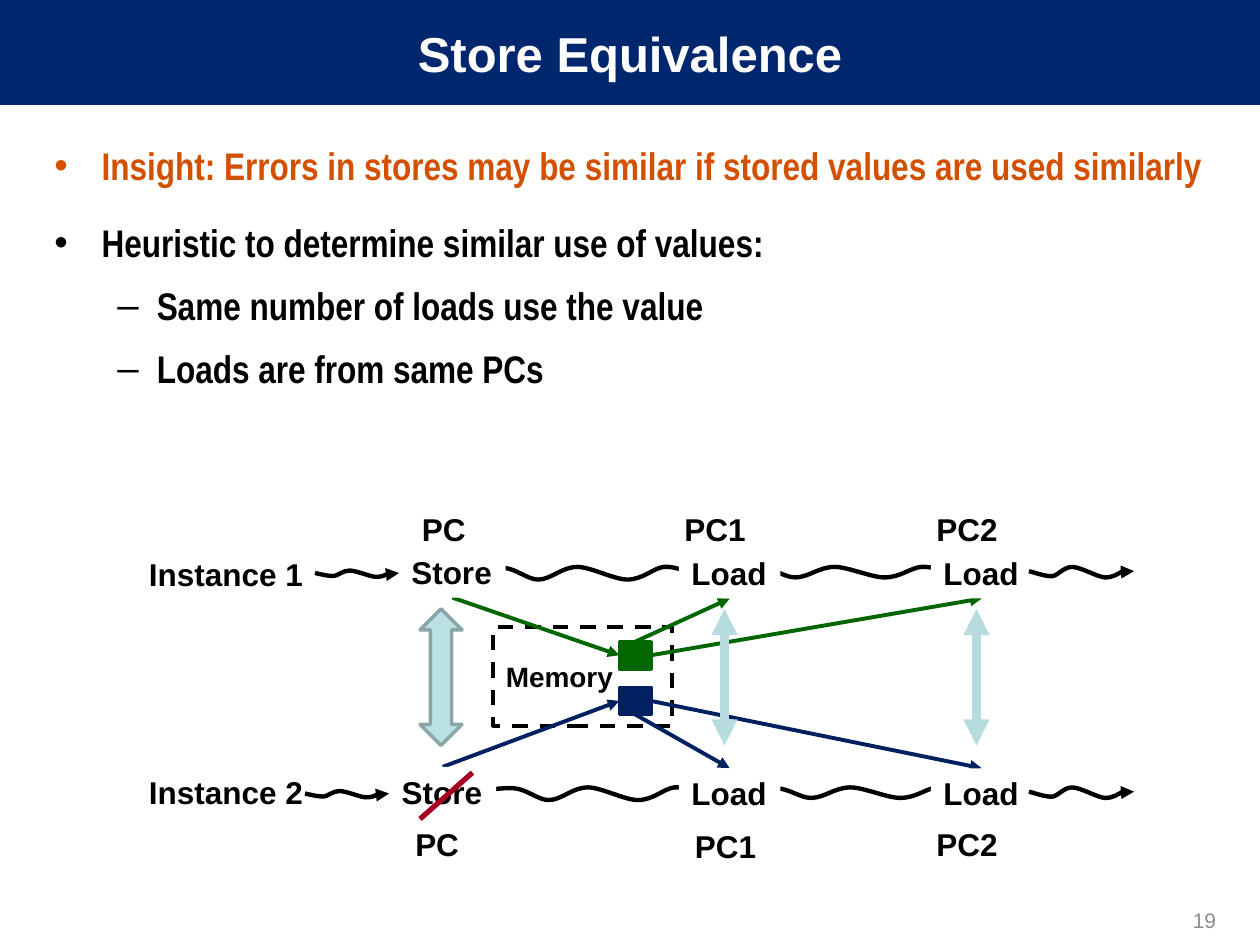
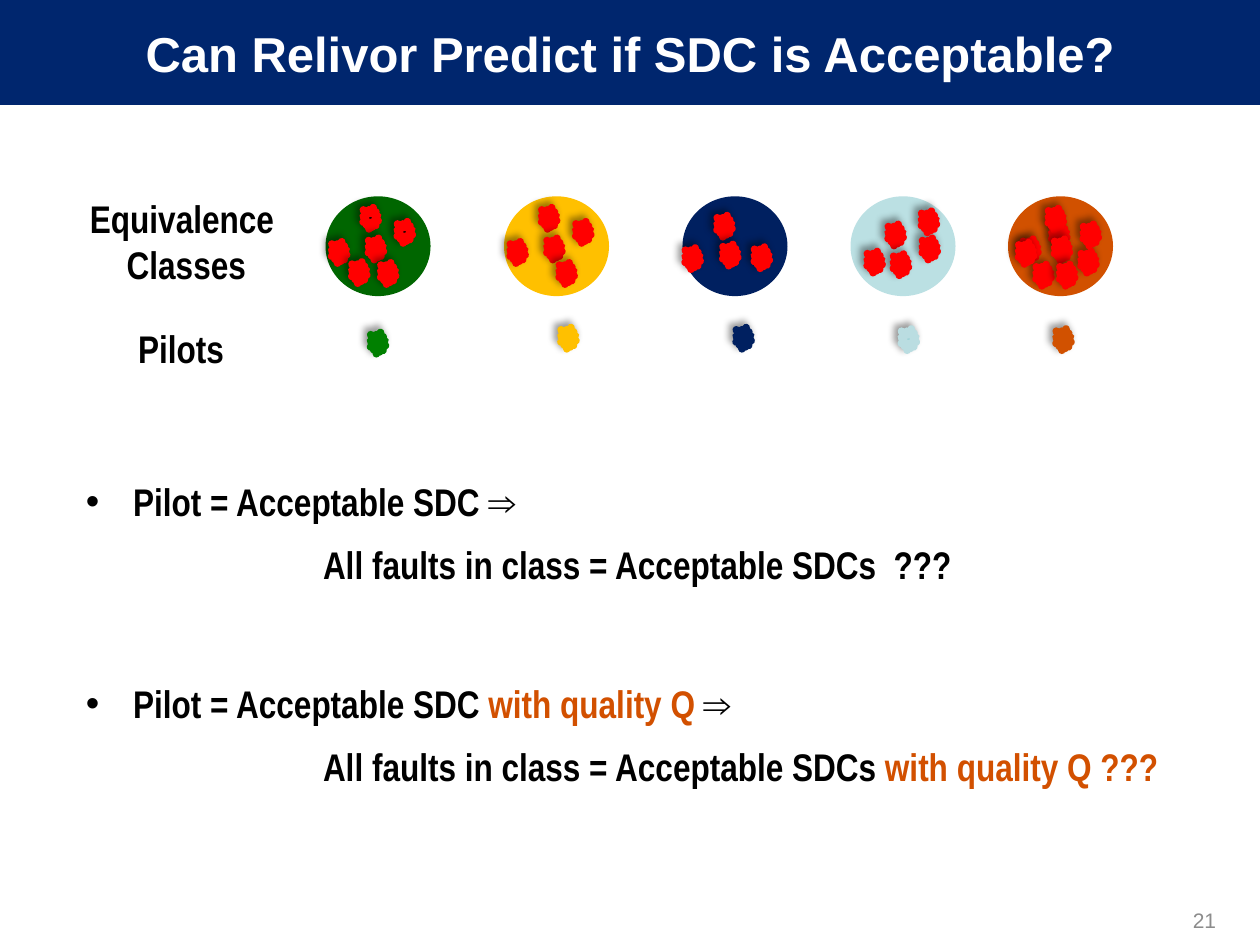
from lxml import etree
from pptx import Presentation
from pptx.dml.color import RGBColor
from pptx.enum.dml import MSO_LINE
from pptx.enum.shapes import MSO_CONNECTOR, MSO_SHAPE
from pptx.enum.text import MSO_ANCHOR, MSO_AUTO_SIZE, PP_ALIGN
from pptx.oxml.ns import qn
from pptx.util import Pt

RECTANGLE, OVAL = MSO_SHAPE.RECTANGLE, MSO_SHAPE.OVAL
BURST, UP_DOWN_ARROW = MSO_SHAPE.EXPLOSION1, MSO_SHAPE.UP_DOWN_ARROW
STRAIGHT = MSO_CONNECTOR.STRAIGHT
LEFT, CENTER, RIGHT = PP_ALIGN.LEFT, PP_ALIGN.CENTER, PP_ALIGN.RIGHT
TOP, MIDDLE = MSO_ANCHOR.TOP, MSO_ANCHOR.MIDDLE
SITE_TOP, SITE_LEFT, SITE_BOTTOM, SITE_RIGHT = range(4)

BLACK, WHITE, GRAY = "000000", "FFFFFF", "8C8C8C"
BAND, NAVY, GREEN = "00266E", "002060", "006600"
ORANGE, RUST, YELLOW = "D25000", "D15100", "FFC000"
PALE, PALE_LINE, PALE_EDGE = "BBE0E3", "B6DCDF", "8AA6A8"
RED, CRIMSON = "FF0000", "A50021"
SANS, NARROW = "Arial", "Arial Narrow"

# Paragraph styles: left margin, first-line indent, space before, bullet
BULLET = (27, -27, 12.2, "•")
DASH = (58.5, -22.5, 4.4, "–")
CONCLUSION = (135.5, 0, 4.4, None)
SPACED_BULLET = (27, -27, 48, "•")

STORE_TITLE = "Store Equivalence"
STORE_BODY = [
    (BULLET, [("Insight: Errors in stores may be similar if stored values are used similarly", ORANGE)]),
    (BULLET, [("Heuristic to determine similar use of values:", BLACK)]),
    (DASH, [("Same number of loads use the value", BLACK)]),
    (DASH, [("Loads are from same PCs", BLACK)]),
]
# key: text, left, top, width
LABELS = {
    "store 1": ("Store", 228, 312.5, 61),
    "pc1 above": ("PC1", 384, 288, 50),
    "pc2 above": ("PC2", 528, 288, 50),
    "load 1a": ("Load", 388, 313, 58),
    "load 1b": ("Load", 532, 313, 58),
    "store 2": ("Store", 222.5, 438.2, 61),
    "pc1 below": ("PC1", 390, 469, 50),
    "pc2 below": ("PC2", 528, 468, 50),
    "load 2a": ("Load", 388, 439, 58),
    "load 2b": ("Load", 532, 439, 58),
    "pc above": ("PC", 234, 288, 39.5),
    "pc below": ("PC", 230.2, 468, 39.5),
}
INSTANCES = [("Instance 1", 313.4), ("Instance 2", 438)]
# key: top, colour
MEMORY_CELLS = {"cell 1": (366.7, GREEN), "cell 2": (392.8, NAVY)}
# start, its side, end, its side, colour
DATA_FLOWS = [
    ("store 1", SITE_BOTTOM, "cell 1", SITE_LEFT, GREEN),
    ("cell 1", SITE_TOP, "load 1a", SITE_BOTTOM, GREEN),
    ("cell 1", SITE_RIGHT, "load 1b", SITE_BOTTOM, GREEN),
    ("cell 2", SITE_BOTTOM, "load 2a", SITE_TOP, NAVY),
    ("cell 2", SITE_RIGHT, "load 2b", SITE_TOP, NAVY),
    ("store 2", SITE_TOP, "cell 2", SITE_LEFT, NAVY),
]
# Bezier points in percent of the wave's width and height
LONG_WAVE = [
    (0, 50), (5, 21), (11, 0), (16, 7), (21, 17), (25, 100), (29, 100), (34, 100),
    (38, 0), (44, 0), (49, 0), (58, 100), (63, 100), (69, 100), (73, 7), (77, 0),
    (82, -7), (86, 50), (90, 58), (94, 60), (97, 60), (100, 58),
]
SHORT_WAVE = [
    (0, 40), (7, 60), (16, 90), (22, 88), (27, 86), (33, 0), (41, 0), (49, 0),
    (64, 90), (72, 100), (81, 100), (86, 50), (90, 40), (95, 25), (98, 40), (100, 40),
]
# left, top, width, height
LONG_WAVES = [(420, 450, 150, 6), (270, 450, 150, 7.2), (411, 324, 150, 6), (264, 324, 150, 7.2)]
WAVES_TO_STORES = [(180, 326, 48, 3.6), (174.3, 452, 48, 3.6)]
WAVES_FROM_LOADS = [(588, 450, 60, 6), (588, 324, 60, 6)]

SDC_TITLE = "Can Relivor Predict if SDC is Acceptable?"
SDC_BODY = [
    (BULLET, [("Pilot = Acceptable SDC ⇒", BLACK)]),
    (CONCLUSION, [("All faults in class = Acceptable SDCs  ???", BLACK)]),
    (SPACED_BULLET, [("Pilot = Acceptable SDC ", BLACK), ("with quality Q ", ORANGE), ("⇒", BLACK)]),
    (CONCLUSION, [("All faults in class = Acceptable SDCs ", BLACK), ("with quality Q ???", ORANGE)]),
]
SCATTER = [(21.5, 6.5), (24.5, 24), (41, 14.5), (3.5, 26), (31.5, 38)]
# class left, colour, fault offsets, pilot position, pilot fill, pilot line
CLASSES = [
    (186, GREEN, SCATTER + [(15, 37.5)], (211.7, 190), "008000", "008000"),
    (288, YELLOW, SCATTER, (320.5, 187.2), YELLOW, YELLOW),
    (390, NAVY, [(19.7, 11), (23, 27.5), (1.5, 29.5), (41, 29)], (420.6, 187.2), NAVY, NAVY),
    (486, PALE, [(21.5, 16), (24.5, 33), (41, 24), (9.5, 31.5), (40.5, 8.5)],
     (515, 188), "9ED3D7", "BADDE1"),
    (576, RUST, [(41.7, 31.5), (8.5, 24.5), (25, 16), (16, 39), (23, 7), (26.5, 24.5),
                 (43, 16), (6, 26.5), (29.5, 39)], (603.4, 188), RUST, RUST),
]
DARK_FAULTS = {(0, 0), (0, 2)}  # class index, fault index
CLASS_TOP = 112.2


def color(value):
    return RGBColor.from_string(value)


def add_run(paragraph, text, size, font_name, font_color, bold=True):
    run = paragraph.add_run()
    run.text = text
    run.font.size, run.font.name, run.font.bold = Pt(size), font_name, bold
    run.font.color.rgb = color(font_color)


def set_line(shape, line_color, width):
    shape.line.color.rgb = color(line_color)
    shape.line.width = Pt(width)


def add_arrowheads(shape, *ends):
    """Add triangles at the given ends, headEnd before tailEnd."""
    line = shape.element.spPr.find(qn("a:ln"))
    for end in ends:
        etree.SubElement(line, qn(f"a:{end}"), type="triangle")


def add_box(slide, kind, left, top, width, height, fill, line_color=None, line_width=2):
    shape = slide.shapes.add_shape(kind, Pt(left), Pt(top), Pt(width), Pt(height))
    shape.shadow.inherit = False
    shape.fill.solid()
    shape.fill.fore_color.rgb = color(fill)
    if line_color:
        set_line(shape, line_color, line_width)
    else:
        shape.line.fill.background()
    return shape


def add_text_box(slide, left, top, width, height):
    box = slide.shapes.add_textbox(Pt(left), Pt(top), Pt(width), Pt(height))
    box.text_frame.word_wrap = True
    return box


def write(shape, lines, size, font_name=SANS, font_color=BLACK, bold=True,
          alignment=LEFT, anchor=TOP):
    frame = shape.text_frame
    frame.vertical_anchor = anchor
    for index, text in enumerate(lines):
        paragraph = frame.add_paragraph() if index else frame.paragraphs[0]
        paragraph.alignment = alignment
        add_run(paragraph, text, size, font_name, font_color, bold)


def write_label(shape, text):
    write(shape, [text], 18)
    shape.text_frame.word_wrap = False
    shape.text_frame.auto_size = MSO_AUTO_SIZE.SHAPE_TO_FIT_TEXT


def add_body(slide, left, top, width, height, content):
    frame = add_text_box(slide, left, top, width, height).text_frame
    for index, (style, runs) in enumerate(content):
        margin, indent, space_before, bullet = style
        paragraph = frame.add_paragraph() if index else frame.paragraphs[0]
        paragraph.line_spacing = 1.2
        paragraph.space_before = Pt(space_before)
        properties = paragraph._p.get_or_add_pPr()
        properties.set("marL", str(Pt(margin)))
        properties.set("indent", str(Pt(indent)))
        if bullet:
            etree.SubElement(properties, qn("a:buFont"), typeface=SANS)
            etree.SubElement(properties, qn("a:buChar"), char=bullet)
        for text, font_color in runs:
            add_run(paragraph, text, 22, NARROW, font_color)


def add_connector(slide, line_color, width, start=(0, 0), end=(0, 0)):
    connector = slide.shapes.add_connector(STRAIGHT, *map(Pt, start + end))
    set_line(connector, line_color, width)
    etree.SubElement(connector.element.spPr, qn("a:effectLst"))
    return connector


def curve_outline(freeform):
    """Turn each three line segments of the outline into one cubic Bezier curve."""
    segments = list(freeform.element.spPr.iter(qn("a:lnTo")))
    for first in range(0, len(segments), 3):
        curve = etree.Element(qn("a:cubicBezTo"))
        segments[first].addprevious(curve)
        for segment in segments[first:first + 3]:
            curve.append(segment[0])
            segment.getparent().remove(segment)


def add_wave(slide, controls, left, top, width, height):
    points = [(Pt(left + x * width / 100), Pt(top + y * height / 100)) for x, y in controls]
    builder = slide.shapes.build_freeform(*points[0])
    builder.add_line_segments(points[1:], close=False)
    wave = builder.convert_to_shape()
    curve_outline(wave)
    wave.fill.background()
    set_line(wave, BLACK, 2.5)
    wave.shadow.inherit = False
    return wave


def add_wave_arrows(slide, places):
    for place in places:
        add_arrowheads(add_wave(slide, SHORT_WAVE, *place), "tailEnd")


def add_fault(slide, left, top, fill, line_color):
    fault = add_box(slide, BURST, left, top, 8.6, 12.2, fill, line_color, 4.32)
    effects = fault.element.spPr.find(qn("a:effectLst"))
    shadow = etree.SubElement(effects, qn("a:outerShdw"), blurRad=str(Pt(4)), dist=str(Pt(3)),
                              dir=str(225 * 60000), algn="ctr", rotWithShape="0")
    shade = etree.SubElement(shadow, qn("a:srgbClr"), val=BLACK)
    etree.SubElement(shade, qn("a:alpha"), val="40000")


def add_band_to_layout(slide):
    """Place the title band behind everything on the slide's layout."""
    band = add_box(slide, RECTANGLE, 0, 0, 720, 60, BAND)
    slide.slide_layout.shapes.element.insert(2, band.element)


def add_titled_slide(presentation, title_text, number):
    slide = presentation.slides.add_slide(presentation.slide_layouts[5])
    title = slide.shapes.title
    title.left, title.top, title.width, title.height = map(Pt, (0, 0, 720, 60))
    write(title, [title_text], 28, font_color=WHITE, alignment=CENTER, anchor=MIDDLE)
    number_box = add_text_box(slide, 534, 511, 168, 29)
    write(number_box, [str(number)], 12, font_color=GRAY, bold=False, alignment=RIGHT, anchor=MIDDLE)
    return slide


def build_store_slide(presentation):
    slide = add_titled_slide(presentation, STORE_TITLE, 19)
    add_band_to_layout(slide)
    add_body(slide, 24, 72.3, 690, 186, STORE_BODY)
    for place in LONG_WAVES:
        add_wave(slide, LONG_WAVE, *place)
    add_wave_arrows(slide, WAVES_TO_STORES)

    memory = add_box(slide, RECTANGLE, 282, 358.5, 102, 56.3, WHITE, BLACK, 2.25)
    memory.line.dash_style = MSO_LINE.DASH
    write(memory, ["Memory"], 16, anchor=MIDDLE)
    nodes = {}
    for key, (top, cell_color) in MEMORY_CELLS.items():
        nodes[key] = add_box(slide, RECTANGLE, 354, top, 18, 15.5, cell_color, cell_color)

    # Flows lie under the labels, so they are drawn first and joined afterwards
    flows = [add_connector(slide, flow[-1], 2.25) for flow in DATA_FLOWS]
    for key, (text, left, top, width) in LABELS.items():
        nodes[key] = add_box(slide, RECTANGLE, left, top, width, 29, WHITE)
        write_label(nodes[key], text)
    for connector, (start, start_site, end, end_site, _) in zip(flows, DATA_FLOWS):
        connector.begin_connect(nodes[start], start_site)
        connector.end_connect(nodes[end], end_site)
        add_arrowheads(connector, "tailEnd")

    add_box(slide, UP_DOWN_ARROW, 240, 348, 24, 78, PALE, PALE_EDGE)
    for x in (414, 558):
        match = add_connector(slide, PALE_LINE, 5, (x, 348), (x, 426))
        add_arrowheads(match, "headEnd", "tailEnd")
    add_wave_arrows(slide, WAVES_FROM_LOADS)
    for text, top in INSTANCES:
        write_label(add_text_box(slide, 78, top, 104, 29), text)
    add_connector(slide, CRIMSON, 3, (240, 468), (270, 441.5))


def build_sdc_slide(presentation):
    slide = add_titled_slide(presentation, SDC_TITLE, 21)
    add_body(slide, 42, 264.3, 638.5, 174, SDC_BODY)
    for class_index, (left, fill, faults, pilot, pilot_fill, pilot_line) in enumerate(CLASSES):
        add_box(slide, OVAL, left, CLASS_TOP, 60, 57, fill)
        add_fault(slide, *pilot, pilot_fill, pilot_line)
        for fault_index, (x, y) in enumerate(faults):
            fault_fill = BLACK if (class_index, fault_index) in DARK_FAULTS else RED
            add_fault(slide, left + x, CLASS_TOP + y, fault_fill, RED)
    for lines, left, top, height in ((["Equivalence ", "Classes"], 18, 108, 60.5),
                                     (["Pilots"], 15, 182, 34)):
        write(add_text_box(slide, left, top, 177, height), lines, 22, NARROW, alignment=CENTER)


def main():
    presentation = Presentation()
    presentation.slide_width, presentation.slide_height = Pt(720), Pt(540)
    build_store_slide(presentation)
    build_sdc_slide(presentation)
    presentation.save("out.pptx")


if __name__ == "__main__":
    main()
